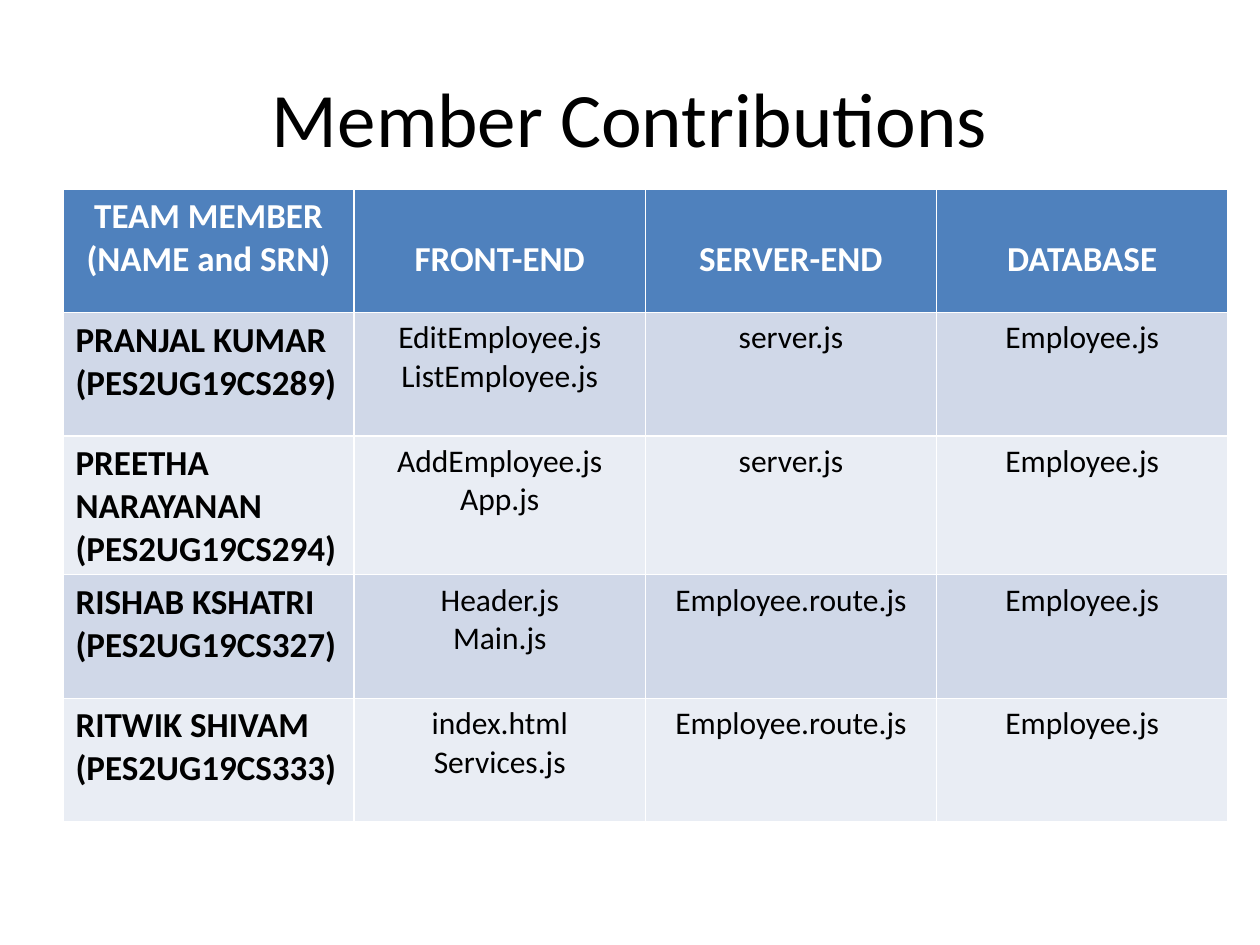
from pptx import Presentation
from pptx.dml.color import RGBColor
from pptx.enum.text import MSO_ANCHOR, PP_ALIGN
from pptx.util import Cm, Pt

LEFT, CENTER = PP_ALIGN.LEFT, PP_ALIGN.CENTER
MIDDLE = MSO_ANCHOR.MIDDLE

BLACK, WHITE, BLUE = "000000", "FFFFFF", "4F81BD"
BANDS = ("D0D8E8", "E9EDF4")

HEADERS = ["TEAM MEMBER\n(NAME and SRN)", "FRONT-END", "SERVER-END", "DATABASE"]
MEMBERS = [
    ["PRANJAL KUMAR\n(PES2UG19CS289)", "EditEmployee.js\nListEmployee.js",
     "server.js", "Employee.js"],
    ["PREETHA NARAYANAN\n(PES2UG19CS294)", "AddEmployee.js\nApp.js",
     "server.js", "Employee.js"],
    ["RISHAB KSHATRI\n(PES2UG19CS327)", "Header.js\nMain.js",
     "Employee.route.js", "Employee.js"],
    ["RITWIK SHIVAM\n(PES2UG19CS333)", "index.html\nServices.js",
     "Employee.route.js", "Employee.js"],
]


def colour(code):
    return RGBColor.from_string(code)


class SlideBuilder:
    font_name = "Calibri"
    header_drop = Cm(0.99)  # lowers one-line headers to the second line

    def __init__(self, page):
        self.page = page

    def set_text(self, frame, text, size, ink=BLACK, bold=False, align=CENTER):
        frame.word_wrap = True
        frame.text = text
        for para in frame.paragraphs:
            para.alignment = align
            para.font.name = self.font_name
            para.font.size = Pt(size)
            para.font.bold = bold
            para.font.color.rgb = colour(ink)

    def title(self, text, left, top, width, height):
        box = self.page.shapes.add_textbox(Cm(left), Cm(top), Cm(width), Cm(height))
        box.text_frame.vertical_anchor = MIDDLE
        self.set_text(box.text_frame, text, 44)

    def fill_cell(self, cell, fill, text, size, **style):
        cell.fill.solid()
        cell.fill.fore_color.rgb = colour(fill)
        self.set_text(cell.text_frame, text, size, **style)

    def table(self, headers, rows, left, top, column_width, row_height):
        grid = self.page.shapes.add_table(
            len(rows) + 1, len(headers), Cm(left), Cm(top),
            Cm(column_width * len(headers)), Cm(row_height * (len(rows) + 1))).table

        # Header row
        for column, text in enumerate(headers):
            cell = grid.cell(0, column)
            self.fill_cell(cell, BLUE, text, 20, ink=WHITE, bold=True)
            if "\n" not in text:
                cell.margin_top = self.header_drop

        # Banded rows: names on the left, files centred
        for index, row in enumerate(rows):
            for column, text in enumerate(row):
                is_name = column == 0
                self.fill_cell(grid.cell(index + 1, column), BANDS[index % 2], text,
                               20 if is_name else 18, bold=is_name,
                               align=LEFT if is_name else CENTER)


def main():
    deck = Presentation()
    deck.slide_width, deck.slide_height = Cm(25.4), Cm(19.05)
    builder = SlideBuilder(deck.slides.add_slide(deck.slide_layouts[6]))

    builder.title("Member Contributions", 1.27, 0.76, 22.86, 3.18)
    builder.table(HEADERS, MEMBERS, 1.27, 3.81, 5.87, 2.49)

    deck.save("out.pptx")


if __name__ == "__main__":
    main()
